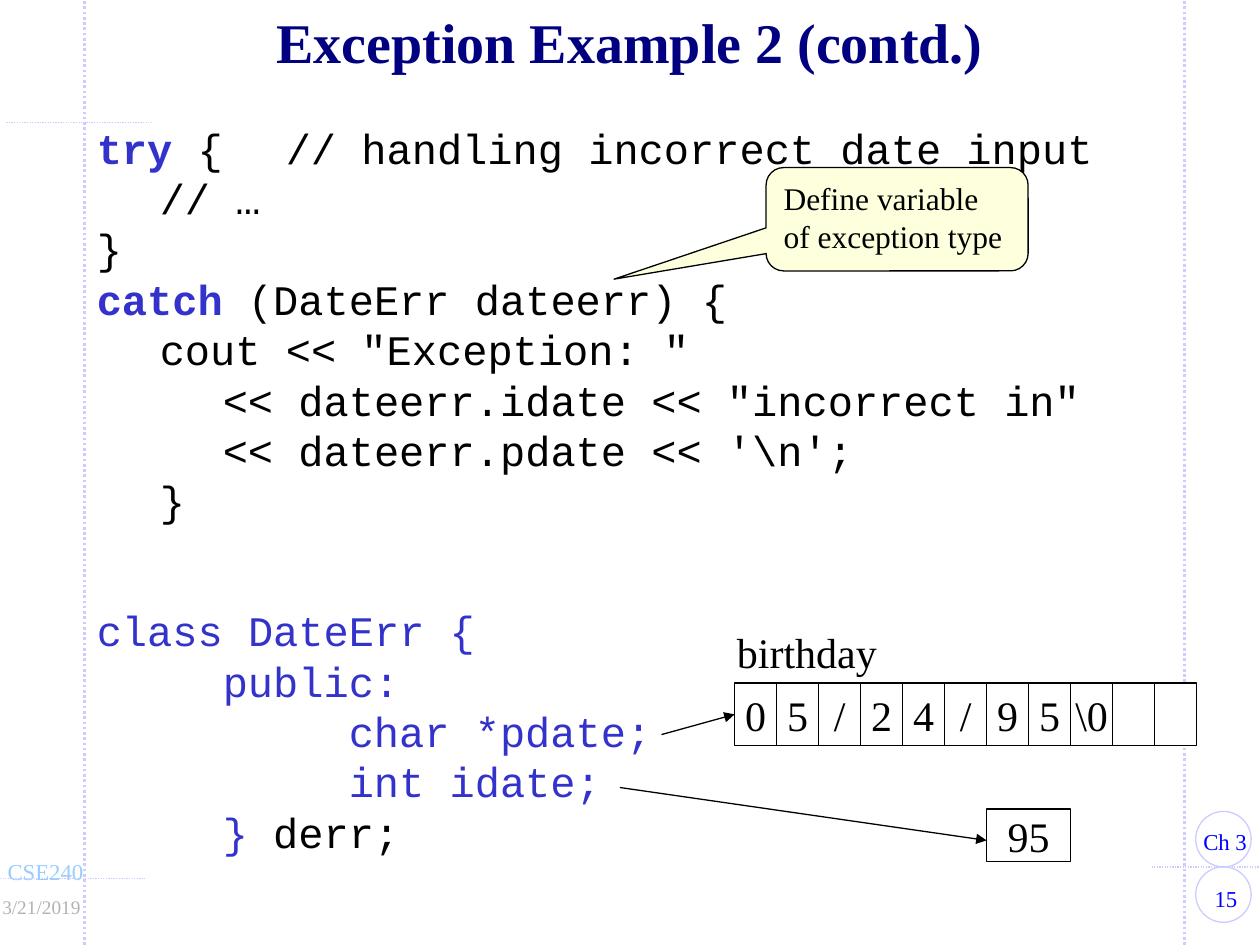
from lxml import etree
from pptx import Presentation
from pptx import util as u
from pptx.dml.color import RGBColor
from pptx.enum import dml, shapes, text
from pptx.oxml.ns import qn

COLORS = {"navy": "000080", "keyword": "3333CC", "ink": "000000", "rule": "CCCCFF",
          "blue": "0000FF", "sky": "99CCFF", "gray": "B2B2B2", "note": "FDFFDD",
          "white": "FFFFFF"}
SERIF, MONO = "Times New Roman", "Courier New"
WIDTH, HEIGHT = 10, 7.5
CELL, CELLS_LEFT, CELLS_TOP = 1 / 3, 5.83, 5.42

TITLE = "Exception Example 2 (contd.)"
HANDLER = [
    [("try", "keyword", True), (" {\t// handling incorrect date input", "ink", False)],
    [("\t// …", "ink", False)],
    [("}", "ink", False)],
    [("catch", "keyword", True), (" (DateErr dateerr) {", "ink", False)],
    [('\tcout << "Exception: "', "ink", False)],
    [('\t\t<< dateerr.idate << "incorrect in"', "ink", False)],
    [("\t\t<< dateerr.pdate << '\\n';", "ink", False)],
    [("\t}", "ink", False)],
]
CLASS = [
    [("class DateErr {", "keyword", False)],
    [("\tpublic:", "keyword", False)],
    [("\t\tchar *pdate;", "keyword", False)],
    [("\t\tint idate;", "keyword", False)],
    [("\t}", "keyword", False), (" derr;", "ink", False)],
]
BIRTHDAY = ["0", "5", "/", "2", "4", "/", "9", "5", "\\0", "", ""]
RULES = [
    ((0.67, HEIGHT), (0.67, 0), 1.5),
    ((0, 6.97), (1.15, 6.97), 0.75),
    ((9.4, HEIGHT), (9.4, 0), 1.5),
    ((9.14, 6.88), (10.05, 6.88), 0.75),
    ((0.05, 0.97), (1.2, 0.97), 0.75),
]
POINTERS = [((5.25, 5.83), (CELLS_LEFT, 5.67)), ((4.92, 6.25), (7.83, 6.67))]
LABELS = [
    ("15", (9.44, 6.97, 0.58, 0.32), 13, "blue", "CENTER", (0.11, 0.11)),
    ("Ch 3", (9.44, 6.52, 0.56, 0.32), 13, "blue", "LEFT", (0.11, 0)),
    ("CSE240", (-0.05, 6.76, 0.81, 0.32), 13, "sky", "LEFT", (0.11, 0)),
    ("3/21/2019", (-0.11, 7.06, 0.83, 0.29), 11, "gray", "RIGHT", (0, 0.08)),
    ("birthday", (5.75, 4.92, 1.31, 0.5), 24, "ink", "LEFT", (0.1, 0)),
]


def color(name):
    return RGBColor.from_string(COLORS[name])


def inches(values):
    return [u.Inches(value) for value in values]


def add_span(para, words, size, shade, font=SERIF, bold=False):
    span = para.add_run()
    span.text = words
    span.font.name, span.font.size, span.font.bold = font, u.Pt(size), bold
    span.font.color.rgb = color(shade)


def set_frame(box, sides=(0.1, 0.1), wrap=True, anchor="TOP"):
    frame = box.text_frame
    frame.margin_left, frame.margin_right = inches(sides)
    frame.margin_top = frame.margin_bottom = u.Inches(0.05)
    frame.word_wrap = wrap
    frame.vertical_anchor = text.MSO_ANCHOR[anchor]
    return frame


def add_label(page, words, place, size, shade, align, sides):
    frame = set_frame(page.shapes.add_textbox(*inches(place)), sides)
    para = frame.paragraphs[0]
    para.alignment = text.PP_ALIGN[align]
    add_span(para, words, size, shade)


def add_code(page, lines, place, tab):
    frame = set_frame(page.shapes.add_textbox(*inches(place)))
    for index, line in enumerate(lines):
        para = frame.add_paragraph() if index else frame.paragraphs[0]
        stops = etree.SubElement(para._p.get_or_add_pPr(), qn("a:tabLst"))
        for step in range(1, 7):
            etree.SubElement(stops, qn("a:tab"), pos=str(u.Inches(tab * step)), algn="l")
        for words, shade, bold in line:
            add_span(para, words, 24, shade, MONO, bold)


def add_line(page, start, end, shade, width, dotted=False, arrow=False):
    line = page.shapes.add_connector(shapes.MSO_CONNECTOR.STRAIGHT, *inches(start + end))
    line.line.color.rgb, line.line.width = color(shade), u.Pt(width)
    if dotted:
        line.line.dash_style = dml.MSO_LINE.ROUND_DOT
    if arrow:
        etree.SubElement(line.line._get_or_add_ln(), qn("a:tailEnd"), type="triangle")
    etree.SubElement(line._element.spPr, qn("a:effectLst"))


def add_outline(page, kind, place, shade, fill=None):
    box = page.shapes.add_shape(shapes.MSO_SHAPE[kind], *inches(place))
    box.shadow.inherit = False
    box.line.color.rgb, box.line.width = color(shade), u.Pt(0.75)
    if fill:
        box.fill.solid()
        box.fill.fore_color.rgb = color(fill)
    else:
        box.fill.background()
    return box


def add_cell(page, words, place, fill=None):
    box = add_outline(page, "RECTANGLE", place, "ink", fill)
    frame = set_frame(box, wrap=False, anchor="MIDDLE")
    if words:
        para = frame.paragraphs[0]
        para.alignment = text.PP_ALIGN.CENTER
        add_span(para, words, 24, "ink")


def add_title(page):
    title = page.shapes.title
    title.left, title.top, title.width, title.height = inches((0.73, 0.08, 8.54, 0.58))
    para = set_frame(title, anchor="MIDDLE").paragraphs[0]
    para.alignment, para.line_spacing = text.PP_ALIGN.CENTER, 0.85
    add_span(para, TITLE, 32, "navy", bold=True)


def add_callout(page):
    note = add_outline(page, "ROUNDED_RECTANGULAR_CALLOUT", (6.08, 1.33, 2.08, 0.82), "ink", "note")
    for index, value in enumerate((-1.08, 0.58, 0.17)):
        note.adjustments[index] = value
    para = set_frame(note).paragraphs[0]
    para.alignment = text.PP_ALIGN.LEFT
    add_span(para, "Define variable  of exception type", 18, "ink")


def main():
    deck = Presentation()
    deck.slide_width, deck.slide_height = inches((WIDTH, HEIGHT))
    page = deck.slides.add_slide(deck.slide_layouts[5])
    for start, end, width in RULES:
        add_line(page, start, end, "rule", width, dotted=True)
    for top in (6.88, 6.44):
        add_outline(page, "OVAL", (9.49, top, 0.44, 0.44), "rule")
    for label in LABELS:
        add_label(page, *label)
    add_title(page)
    add_code(page, HANDLER, (0.67, 0.92, 9, 3.3), 0.5)
    add_code(page, CLASS, (0.67, 4.75, 5, 2.1), 1)
    for index, character in enumerate(BIRTHDAY):
        add_cell(page, character, (CELLS_LEFT + index * CELL, CELLS_TOP, CELL, 0.5), "white")
    add_cell(page, "95", (7.83, 6.42, 2 * CELL, 0.42))
    for start, end in POINTERS:
        add_line(page, start, end, "ink", 0.75, arrow=True)
    add_callout(page)
    deck.save("out.pptx")


if __name__ == "__main__":
    main()
